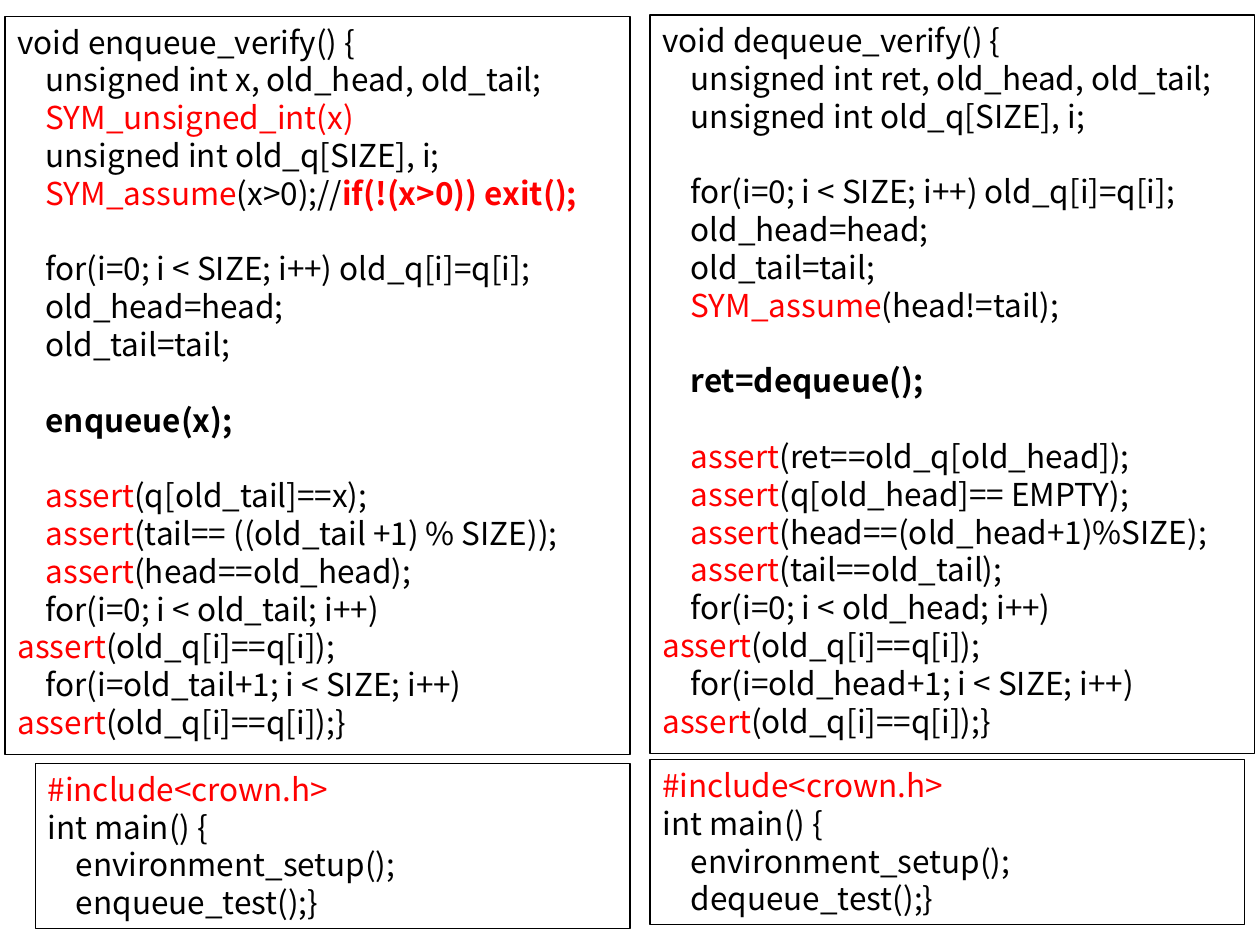
"""Build a slide of symbolic-execution test code for enqueue and dequeue."""
import pptx
import pptx.dml.color
import pptx.enum.text
import pptx.util
from pptx.util import Inches, Pt

BLACK = pptx.dml.color.RGBColor(0, 0, 0)
RED = pptx.dml.color.RGBColor(255, 0, 0)
FONT = "Noto Sans CJK KR"
SIZE = Pt(18)
LINE_HEIGHT = Pt(21.6)
INDENT = "    "
GAP = None


def plain(text):
    return [(text, BLACK, False)]


def check(word, rest, lead=INDENT):
    return [(lead, BLACK, False), (word, RED, False), (rest, BLACK, False)]


def bold_call(text):
    return [(INDENT, BLACK, False), (text, BLACK, True)]


def loop(start, end, closing=""):
    lead = f"{INDENT}for(i={start}; i < {end}; i++) \t"
    return check("assert", f"(old_q[i]==q[i]);{closing}", lead)


def main_code(test):
    return [
        [("#include<crown.h>", RED, False)],
        plain("int main() {"),
        plain("    environment_setup();"),
        plain(f"    {test}();}}"),
    ]


SAVE_STATE = [
    plain("    for(i=0; i < SIZE; i++) old_q[i]=q[i];"),
    plain("    old_head=head;"),
    plain("    old_tail=tail;"),
]

ENQUEUE_VERIFY = [
    plain("void enqueue_verify() {"),
    plain("    unsigned int x, old_head, old_tail;"),
    [("    SYM_unsigned_int(x)", RED, False)],
    plain("    unsigned int old_q[SIZE], i;"),
    check("SYM_assume", "(x>0);//") + [("if(!(x>0)) exit();", RED, True)],
    GAP,
    *SAVE_STATE,
    GAP,
    bold_call("enqueue(x);"),
    GAP,
    check("assert", "(q[old_tail]==x);"),
    check("assert", "(tail== ((old_tail +1) % SIZE));"),
    check("assert", "(head==old_head);"),
    loop("0", "old_tail"),
    loop("old_tail+1", "SIZE", "}"),
]

DEQUEUE_VERIFY = [
    plain("void dequeue_verify() {"),
    plain("    unsigned int ret, old_head, old_tail;"),
    plain("    unsigned int old_q[SIZE], i;"),
    GAP,
    *SAVE_STATE,
    check("SYM_assume", "(head!=tail);"),
    GAP,
    bold_call("ret=dequeue();"),
    GAP,
    check("assert", "(ret==old_q[old_head]);"),
    check("assert", "(q[old_head]== EMPTY);"),
    check("assert", "(head==(old_head+1)%SIZE);"),
    check("assert", "(tail==old_tail);"),
    loop("0", "old_head"),
    loop("old_head+1", "SIZE", "}"),
]

LISTINGS = [
    ((0.04, 0.13, 4.96, 5.86), ENQUEUE_VERIFY),
    ((5.16, 0.12, 4.8, 5.86), DEQUEUE_VERIFY),
    ((0.28, 6.06, 4.72, 1.31), main_code("enqueue_test")),
    ((5.16, 6.03, 4.72, 1.31), main_code("dequeue_test")),
]


def add_listing(page, place, lines):
    box = page.shapes.add_textbox(*(Inches(length) for length in place))
    box.line.color.rgb = BLACK
    box.line.width = Pt(0.75)
    frame = box.text_frame
    frame.word_wrap = True
    frame.auto_size = pptx.enum.text.MSO_AUTO_SIZE.SHAPE_TO_FIT_TEXT
    para = frame.paragraphs[0]
    after_gap = False
    for number, line in enumerate(lines):
        if line is GAP:
            after_gap = True
            continue
        if number:
            para = frame.add_paragraph()
        if after_gap:
            para.space_before = LINE_HEIGHT
            after_gap = False
        for text, color, bold in line:
            span = para.add_run()
            span.text = text
            span.font.name = FONT
            span.font.size = SIZE
            span.font.bold = bold
            span.font.color.rgb = color


def main():
    deck = pptx.Presentation()
    deck.slide_width = Inches(10)
    deck.slide_height = Inches(7.5)
    page = deck.slides.add_slide(deck.slide_layouts[6])
    for place, lines in LISTINGS:
        add_listing(page, place, lines)
    deck.save("out.pptx")


if __name__ == "__main__":
    main()
